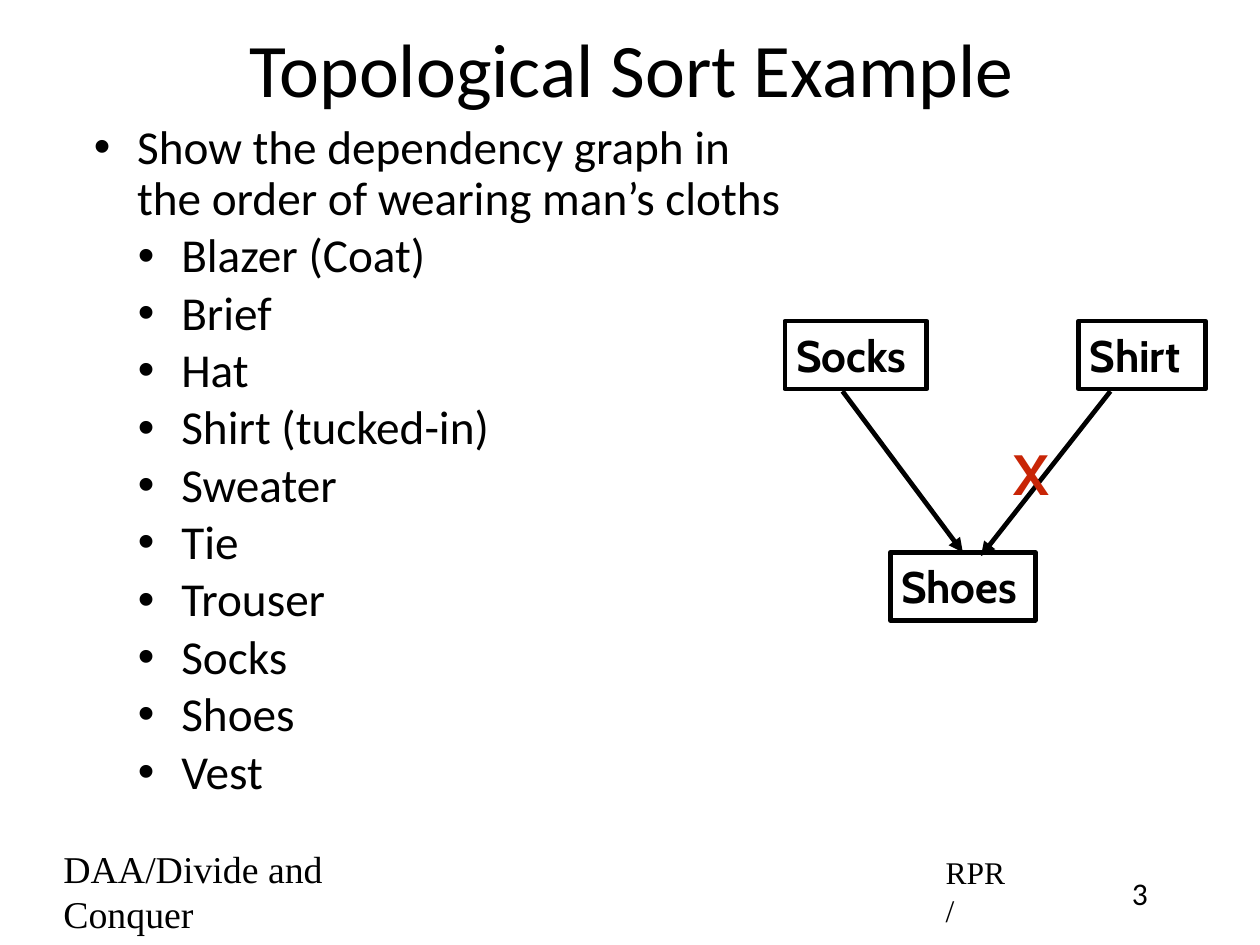
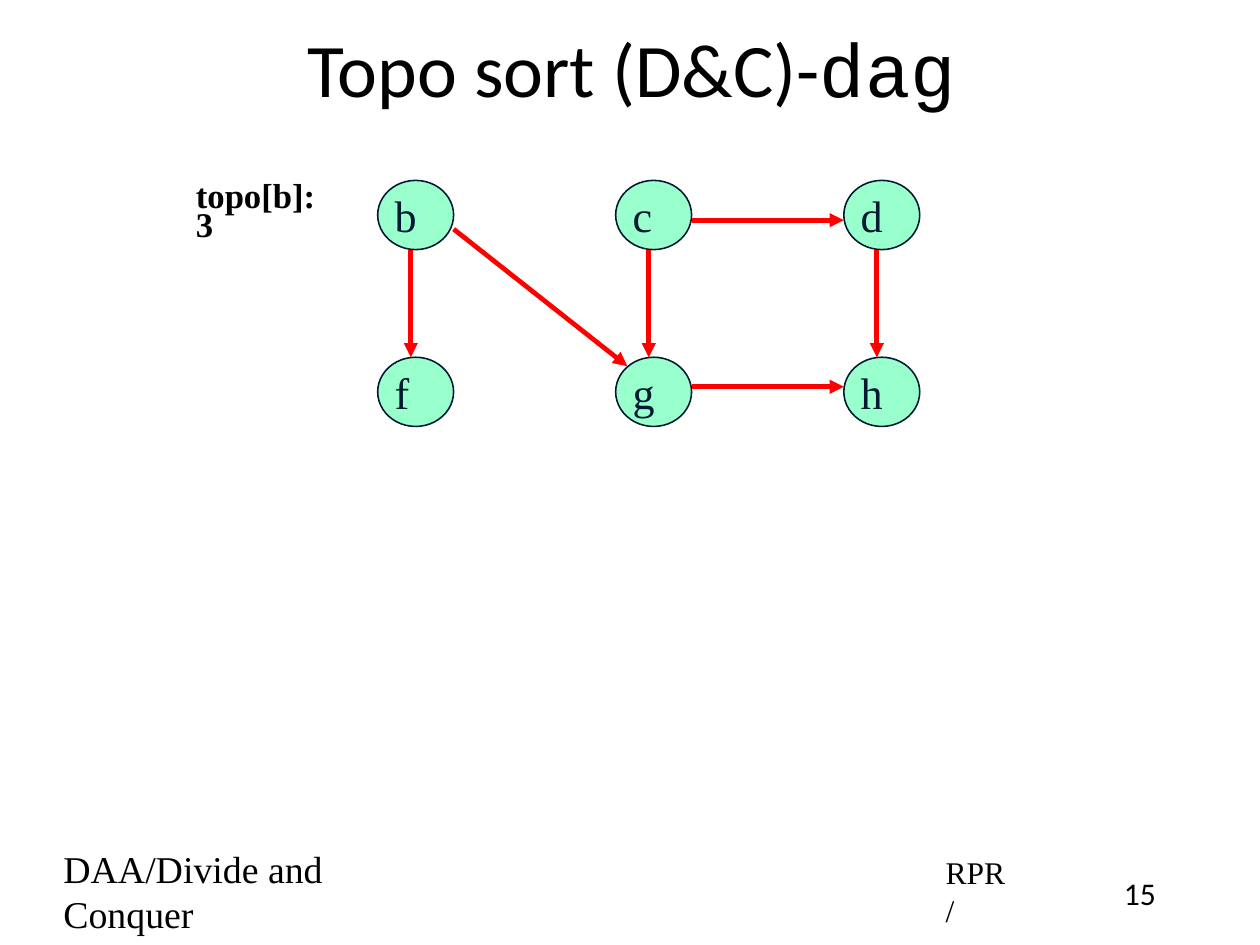
"""Build two slides on topological sorting."""
import lxml.etree
import pptx
import pptx.dml.color
import pptx.enum.shapes
import pptx.enum.text
import pptx.oxml.ns
import pptx.util

Cm = pptx.util.Cm
Pt = pptx.util.Pt
qn = pptx.oxml.ns.qn
hex_color = pptx.dml.color.RGBColor.from_string
Align = pptx.enum.text.PP_ALIGN
Anchor = pptx.enum.text.MSO_ANCHOR
Shape = pptx.enum.shapes.MSO_SHAPE

BLACK, RED, CROSS_RED, NAVY, MINT = "000000", "FF0000", "C82506", "001932", "99FFCC"
SERIF = "Times New Roman"


def write_text(box, text, size=20, font="Calibri", color=BLACK, bold=False, align=Align.LEFT,
               anchor=Anchor.MIDDLE, left=0.25, right=0.15, edge=0.15, spacing=None, new_para=False):
    """Add a formatted span to the box and return its paragraph."""
    frame = box.text_frame
    frame.word_wrap = True
    frame.auto_size = pptx.enum.text.MSO_AUTO_SIZE.NONE
    frame.vertical_anchor = anchor
    frame.margin_left, frame.margin_right = Cm(left), Cm(right)
    frame.margin_top = frame.margin_bottom = Cm(edge)
    para = frame.add_paragraph() if new_para else frame.paragraphs[-1]
    para.alignment = align
    para.line_spacing = spacing
    span = para.add_run()
    span.text = text
    span.font.size, span.font.name, span.font.bold = Pt(size), font, bold
    span.font.color.rgb = hex_color(color)
    return para


def draw_arrow(page, start, end, color):
    """Draw a straight arrow between two points in centimetres."""
    arrow = page.shapes.add_connector(pptx.enum.shapes.MSO_CONNECTOR.STRAIGHT,
                                      *map(Cm, start + end))
    arrow.line.color.rgb = hex_color(color)
    arrow.line.width = Pt(3)
    lxml.etree.SubElement(arrow.line._get_or_add_ln(), qn("a:tailEnd"), type="triangle")
    lxml.etree.SubElement(arrow._element.spPr, qn("a:effectLst"))
    return arrow


deck = pptx.Presentation()
deck.slide_width, deck.slide_height = Cm(28.22), Cm(21.16)

pages = []
for layout, title, number in [(1, "Topological Sort Example", "3"), (5, "Topo sort (D&C)-", "15")]:
    page = deck.slides.add_slide(deck.slide_layouts[layout])
    pages.append(page)
    heading = page.shapes.title
    heading.left, heading.top, heading.width, heading.height = map(Cm, (2.11, 0.18, 23.98, 2.64))
    write_text(heading, title, size=48, align=Align.CENTER)
    number_box = page.shapes.add_textbox(Cm(24.69), Cm(19.41), Cm(1.68), Cm(1.07))
    write_text(number_box, number, align=Align.CENTER, anchor=Anchor.TOP, left=0.15)
    course_box = page.shapes.add_textbox(Cm(1.17), Cm(19.35), Cm(9.37), Cm(1.19))
    write_text(course_box, "DAA/Divide and Conquer", size=24, font=SERIF, right=0.75)
    author_box = page.shapes.add_textbox(Cm(20.93), Cm(19.41), Cm(1.96), Cm(1.07))
    write_text(author_box, "RPR/", font=SERIF, right=0.3)

clothes_page, graph_page = pages

body = clothes_page.placeholders[1]
body.left, body.top, body.width, body.height = map(Cm, (1.85, 2.62, 16.13, 16.43))
items = ["Show the dependency graph in the order of wearing man’s cloths", "Blazer (Coat)", "Brief",
         "Hat", "Shirt (tucked-in)", "Sweater", "Tie", "Trouser", "Socks", "Shoes", "Vest"]
for index, item in enumerate(items):
    level = min(index, 1)
    para = write_text(body, item, size=30, anchor=Anchor.TOP, left=0.15, spacing=0.9,
                      new_para=index > 0)
    para.level = level
    para.space_before = Pt(4 * level)
    properties = para._p.get_or_add_pPr()
    properties.set("marL", str(Cm(1.07 + 0.99 * level)))
    properties.set("indent", str(Cm(-0.97)))
    lxml.etree.SubElement(properties, qn("a:buFont"), typeface="Arial")
    lxml.etree.SubElement(properties, qn("a:buChar"), char="•")

garments = {}
for name, left, top, width in [("Socks", 17.58, 7.19, 3.18), ("Shoes", 19.94, 12.37, 3.25),
                               ("Shirt", 24.16, 7.19, 2.84)]:
    box = clothes_page.shapes.add_shape(Shape.RECTANGLE, Cm(left), Cm(top), Cm(width), Cm(1.52))
    box.shadow.inherit = False
    box.fill.background()
    box.line.color.rgb = hex_color(BLACK)
    box.line.width = Pt(3)
    write_text(box, name, size=28, font="Cabin", bold=True)
    garments[name] = box

socks_arrow = draw_arrow(clothes_page, (18.87, 8.76), (21.56, 12.37), BLACK)
socks_arrow.end_connect(garments["Shoes"], 0)
draw_arrow(clothes_page, (24.87, 8.76), (21.97, 12.45), BLACK)
cross = clothes_page.shapes.add_textbox(Cm(22.45), Cm(9.73), Cm(1.47), Cm(1.73))
write_text(cross, "X", size=36, font="Cabin", color=CROSS_RED, bold=True)

write_text(graph_page.shapes.title, "dag", size=48, font="Courier New", align=Align.CENTER)
order_box = graph_page.shapes.add_textbox(Cm(4.14), Cm(4.22), Cm(3.48), Cm(1.17))
write_text(order_box, "topo[b]:3", size=22, font=SERIF, bold=True, right=0.4, spacing=0.7)

columns, rows = (8.46, 13.79, 18.9), (4.04, 8.0)
node_width, node_height = 1.7, 1.55
for letters, top in zip(("bcd", "fgh"), rows):
    for letter, left in zip(letters, columns):
        node = graph_page.shapes.add_shape(Shape.OVAL, Cm(left), Cm(top),
                                           Cm(node_width), Cm(node_height))
        node.shadow.inherit = False
        node.fill.solid()
        node.fill.fore_color.rgb = hex_color(MINT)
        node.line.color.rgb = hex_color(NAVY)
        node.line.width = Pt(1)
        write_text(node, letter, size=28, font=SERIF, color=NAVY, left=0.13, right=0, edge=0)

for left in columns:
    draw_arrow(graph_page, (left + 0.74, rows[0] + node_height), (left + 0.74, rows[1]), RED)
for height in (4.93, 8.66):
    draw_arrow(graph_page, (columns[1] + node_width, height), (columns[2], height), RED)
draw_arrow(graph_page, (10.16, 5.13), (14.05, 8.2), RED)

deck.save("out.pptx")
